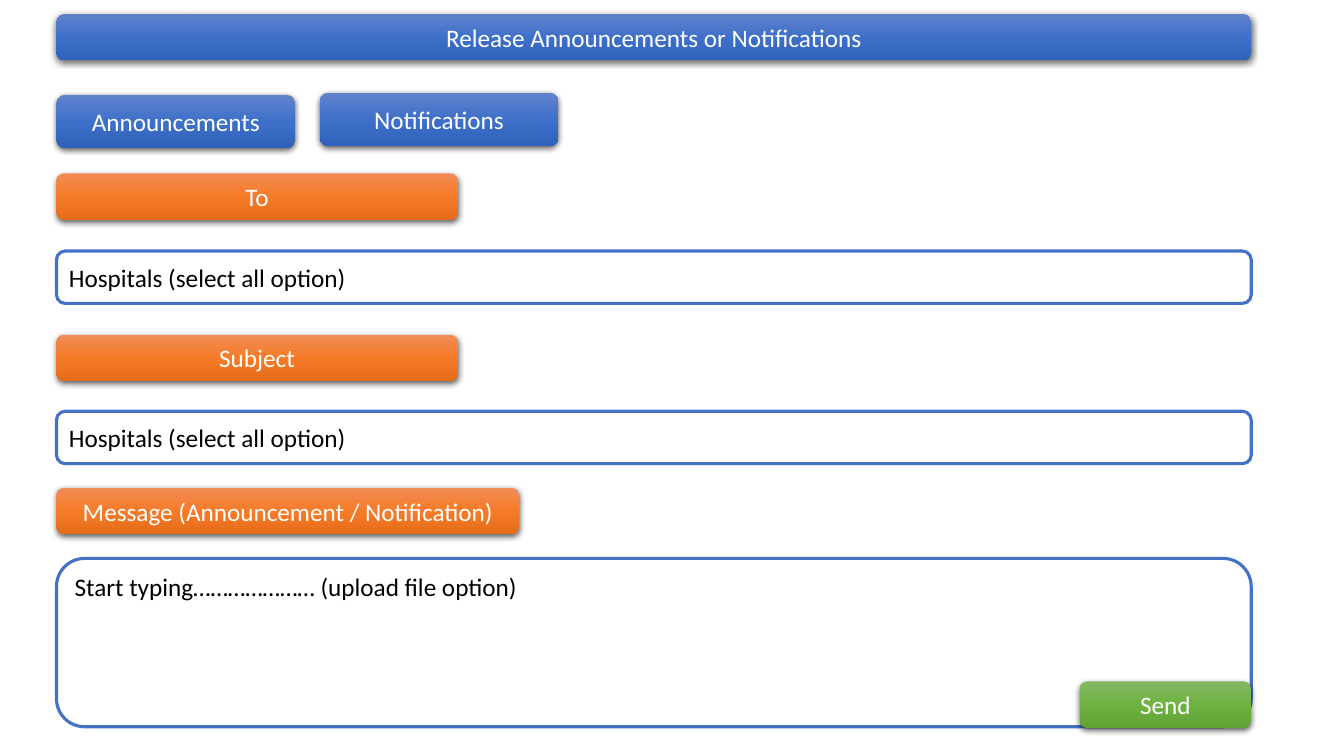
from lxml import etree
from pptx import Presentation
from pptx.dml.color import RGBColor
from pptx.enum.shapes import MSO_SHAPE as SHAPE
from pptx.enum.text import MSO_ANCHOR as ANCHOR, PP_ALIGN as ALIGN
from pptx.oxml.ns import qn
from pptx.util import Inches, Pt

BLUE = ("6183CB", "3E70CA", "3062BB")
ORANGE = ("F18C57", "F67B28", "E56C19")
GREEN = ("81B861", "6FB242", "62A336")
LEFT, FULL, BAR = 0.56, 11.85, 0.46


def rgb(value):
    return RGBColor.from_string(value)


class Form:
    """Draws buttons and input fields of one style on a slide."""

    font, size, outline = "Calibri", 18, "4472C4"

    def __init__(self, slide):
        self.s = slide

    def box(self, text, x, y, w, h, color, align, anchor):
        sp = self.s.shapes.add_shape(
            SHAPE.ROUNDED_RECTANGLE, Inches(x), Inches(y), Inches(w), Inches(h))
        sp.shadow.inherit = False
        tf = sp.text_frame
        tf.word_wrap = True
        tf.vertical_anchor = anchor
        p = tf.paragraphs[0]
        p.alignment = align
        r = p.add_run()
        r.text = text
        r.font.name = self.font
        r.font.size = Pt(self.size)
        r.font.color.rgb = rgb(color)
        return sp

    def button(self, text, x, y, w, h, colors):
        sp = self.box(text, x, y, w, h, "FFFFFF", ALIGN.CENTER, ANCHOR.MIDDLE)
        sp.line.fill.background()
        sp.fill.gradient()
        sp.fill.gradient_angle = 270
        stops = sp.element.spPr.find(f".//{qn('a:gsLst')}")
        for stop in list(stops):
            stops.remove(stop)
        for i, color in enumerate(colors):
            stop = etree.SubElement(stops, qn("a:gs"), pos=str(i * 50000))
            etree.SubElement(stop, qn("a:srgbClr"), val=color)
        effects = sp.element.spPr.find(qn("a:effectLst"))
        shadow = etree.SubElement(
            effects, qn("a:outerShdw"), blurRad=str(Pt(4.5)), dist=str(Pt(1.5)),
            dir="5400000", algn="ctr", rotWithShape="0")
        black = etree.SubElement(shadow, qn("a:srgbClr"), val="000000")
        etree.SubElement(black, qn("a:alpha"), val="63000")

    def field(self, text, y, h=0.52, anchor=ANCHOR.MIDDLE):
        sp = self.box(text, LEFT, y, FULL, h, "000000", ALIGN.LEFT, anchor)
        sp.fill.solid()
        sp.fill.fore_color.rgb = rgb("FFFFFF")
        sp.line.color.rgb = rgb(self.outline)
        sp.line.width = Pt(2.25)


def main():
    prs = Presentation()
    prs.slide_width, prs.slide_height = Inches(13.33), Inches(7.5)
    form = Form(prs.slides.add_slide(prs.slide_layouts[6]))

    form.button("Release Announcements or Notifications", LEFT, 0.14, FULL, BAR, BLUE)
    form.button("Announcements", LEFT, 0.94, 2.37, 0.53, BLUE)
    form.button("Notifications", 3.17, 0.92, 2.37, 0.53, BLUE)

    for label, label_y, field_y in (("To", 1.72, 2.49), ("Subject", 3.32, 4.08)):
        form.button(label, LEFT, label_y, 3.98, BAR, ORANGE)
        form.field("Hospitals (select all option)", field_y)

    form.button("Message (Announcement / Notification)", LEFT, 4.84, 4.59, BAR, ORANGE)
    form.field("Start typing………………… (upload file option)", 5.54, 1.67, ANCHOR.TOP)
    form.button("Send", 10.71, 6.76, 1.7, BAR, GREEN)

    prs.save("out.pptx")


if __name__ == "__main__":
    main()
